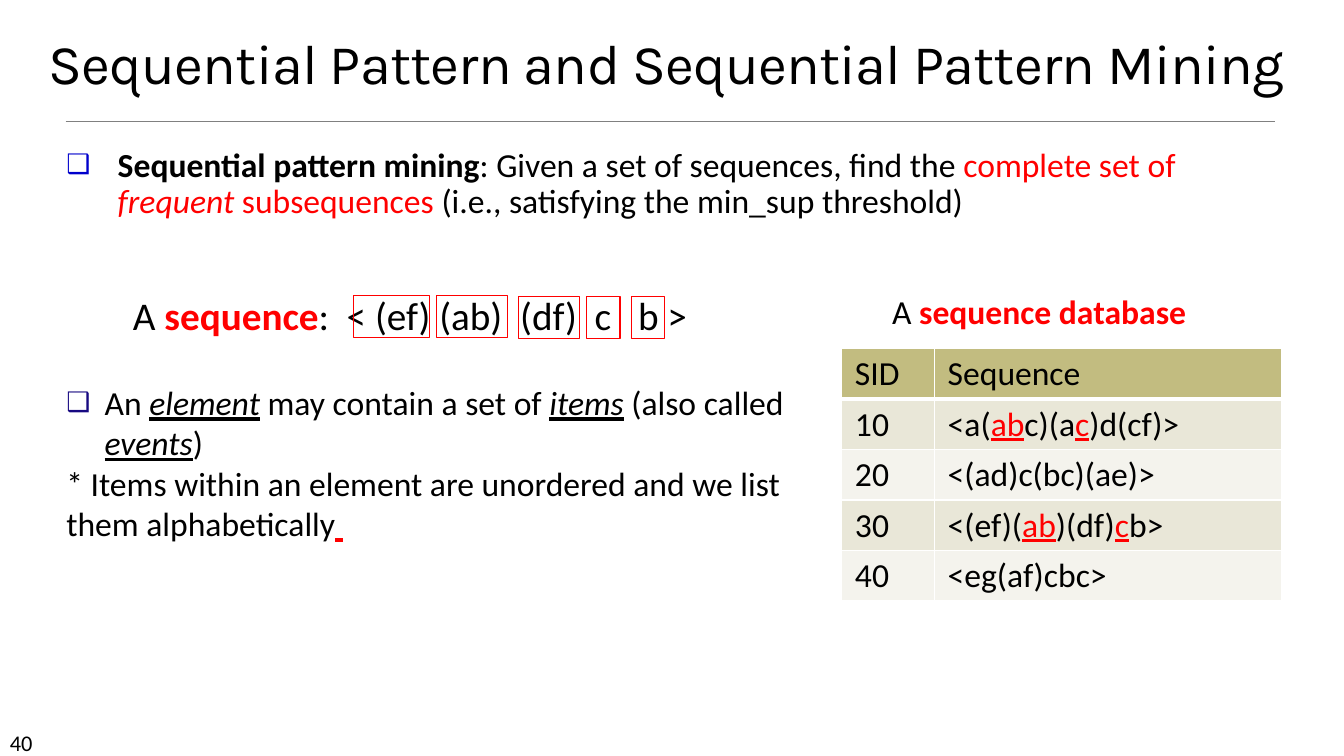
from lxml import etree
from pptx import Presentation
from pptx import util as u
from pptx.dml.color import RGBColor
from pptx.enum import shapes, text
from pptx.oxml import ns

BLACK = RGBColor(0x00, 0x00, 0x00)
RED = RGBColor(0xFF, 0x00, 0x00)
GREY = RGBColor(0x80, 0x80, 0x80)
WHITE = RGBColor(0xFF, 0xFF, 0xFF)
BLUE = RGBColor(0x00, 0x00, 0xCC)
NAVY = RGBColor(0x17, 0x09, 0x81)
HEADER = RGBColor(0xC2, 0xBC, 0x80)
BANDS = [RGBColor(0xE9, 0xE7, 0xD8), RGBColor(0xF4, 0xF3, 0xED)]
BODY_FONT = "Calibri"
TITLE_FONT = "Karla"

DATABASE = [
    ("SID", [("Sequence", "")]),
    ("10", [("<a(", ""), ("ab", "red underline"), ("c)(a", ""),
            ("c", "red underline"), (")d(cf)>", "")]),
    ("20", [("<(ad)c(bc)(ae)>", "")]),
    ("30", [("<(ef)(", ""), ("ab", "red underline"), (")(df)", ""),
            ("c", "red underline"), ("b>", "")]),
    ("40", [("<eg(af)cbc>", "")]),
]


def add_element(parent, tag, **attributes):
    return etree.SubElement(parent, ns.qn(tag), attributes)


def add_bullet(para, color, indent):
    properties = para._p.get_or_add_pPr()
    properties.set("marL", str(u.Inches(indent)))
    properties.set("indent", str(-u.Inches(indent)))
    add_element(add_element(properties, "a:buClr"), "a:srgbClr", val=str(color))
    add_element(properties, "a:buSzPct", val="80000")
    add_element(properties, "a:buFont", typeface="Wingdings 2")
    properties[-1].set("typeface", BODY_FONT)
    add_element(properties, "a:buChar", char="❑")


def add_tabs(para, stops):
    tabs = add_element(para._p.get_or_add_pPr(), "a:tabLst")
    for stop in stops:
        add_element(tabs, "a:tab", pos=str(u.Inches(stop)), algn="l")


def write(para, spans, size=24, name=BODY_FONT):
    para.font.size = u.Pt(size)
    para.font.name = name
    para.font.color.rgb = BLACK
    for words, style in spans:
        span = para.add_run()
        span.text = words
        if "red" in style:
            span.font.color.rgb = RED
        if "bold" in style:
            span.font.bold = True
        if "italic" in style:
            span.font.italic = True
        if "underline" in style:
            span.font.underline = True


def add_text_box(page, left, top, width, height):
    box = page.shapes.add_textbox(*map(u.Inches, (left, top, width, height)))
    box.text_frame.word_wrap = True
    return box.text_frame


def add_heading(page, left, top, width, height):
    title = page.shapes.title
    title.left, title.top, title.width, title.height = map(
        u.Inches, (left, top, width, height))
    frame = title.text_frame
    frame.word_wrap = True
    frame.auto_size = text.MSO_AUTO_SIZE.NONE
    frame.vertical_anchor = text.MSO_ANCHOR.BOTTOM
    para = frame.paragraphs[0]
    para.alignment = text.PP_ALIGN.CENTER
    para.line_spacing = 0.85
    write(para, [("Sequential Pattern and Sequential Pattern Mining ", "")], 40, TITLE_FONT)
    para.runs[0]._r.get_or_add_rPr().set("spc", "-50")


def add_rule(page, left, top, width):
    rule = page.shapes.add_connector(
        shapes.MSO_CONNECTOR.STRAIGHT,
        *map(u.Inches, (left, top, left + width, top)))
    rule.line.color.rgb = GREY
    rule.line.width = u.Pt(0.5)
    add_element(rule._element.spPr, "a:effectLst")


def add_definition(page, left, top, width, height):
    para = add_text_box(page, left, top, width, height).paragraphs[0]
    para.line_spacing = 0.9
    add_bullet(para, BLUE, 0.51)
    write(para, [
        ("Sequential pattern mining", "bold"),
        (": Given a set of sequences, find the ", ""),
        ("complete set of ", "red"), ("frequent ", "red italic"),
        ("subsequences ", "red"),
        ("(i.e., satisfying the min_sup threshold)", "")])


def add_sequence(page, left, top, width, height):
    para = add_text_box(page, left, top, width, height).paragraphs[0]
    add_tabs(para, [2.12, 3.84, 4.58, 5.01])
    write(para, [("A ", ""), ("sequence", "red bold"),
                 (":\t< (ef) (ab)\t(df)\tc\tb >", "")], 28)
    for offset, drop, breadth in [(2.29, 0.09, 0.75), (3.11, 0.09, 0.7), (3.92, 0.1, 0.61),
                                  (4.6, 0.1, 0.33), (5.04, 0.1, 0.33)]:
        element = page.shapes.add_shape(
            shapes.MSO_SHAPE.RECTANGLE,
            *map(u.Inches, (left + offset, top + drop, breadth, 0.42)))
        element.shadow.inherit = False
        element.fill.background()
        element.line.color.rgb = RED
        element.line.width = u.Pt(0.75)


def add_notes_on_elements(page, left, top, width, height):
    frame = add_text_box(page, left, top, width, height)
    first = frame.paragraphs[0]
    add_bullet(first, NAVY, 0.38)
    write(first, [
        ("An ", ""), ("element", "italic underline"),
        (" may contain a set of ", ""), ("items", "italic underline"),
        (" (also called ", ""), ("events", "italic underline"), (")", "")])
    write(frame.add_paragraph(), [
        ("* Items within an element are unordered and we list them alphabetically", ""),
        (" ", "red italic underline")])


def add_borders(cell, is_header):
    properties = cell._tc.get_or_add_tcPr()
    widths = {"L": 1, "R": 1, "T": 1, "B": 3 if is_header else 1}
    for side, width in widths.items():
        border = add_element(properties, f"a:ln{side}", w=str(u.Pt(width)))
        add_element(add_element(border, "a:solidFill"), "a:srgbClr", val=str(WHITE))


def add_database(page, left, top, width, height):
    caption = add_text_box(page, left + 0.4, top - 0.62, 3.23, 0.5)
    write(caption.paragraphs[0], [("A ", ""), ("sequence database", "red bold")])
    table = page.shapes.add_table(
        len(DATABASE), 2, *map(u.Inches, (left, top, width, height))).table
    table.first_row = False
    table.horz_banding = False
    table.columns[0].width = u.Inches(0.92)
    table.columns[1].width = u.Inches(width - 0.92)
    for index, (sid, sequence) in enumerate(DATABASE):
        for column, spans in enumerate([[(sid, "")], sequence]):
            cell = table.cell(index, column)
            add_borders(cell, index == 0)
            cell.fill.solid()
            cell.fill.fore_color.rgb = BANDS[(index - 1) % 2] if index else HEADER
            cell.margin_left = cell.margin_right = u.Inches(0.13)
            write(cell.text_frame.paragraphs[0], spans)


def add_page_number(page, left, top, width, height):
    frame = add_text_box(page, left, top, width, height)
    write(frame.paragraphs[0], [("40", "")], 16)


def main():
    deck = Presentation()
    deck.slide_width = u.Inches(13.33)
    deck.slide_height = u.Inches(7.5)
    page = deck.slides.add_slide(deck.slide_layouts[5])
    add_rule(page, 0.65, 1.2, 12)
    add_page_number(page, 0, 7.18, 1.17, 0.3)
    add_heading(page, -0.33, 0.37, 14, 0.63)
    add_definition(page, 0.56, 1.42, 12.33, 0.89)
    add_notes_on_elements(page, 0.56, 3.74, 8, 1.72)
    add_sequence(page, 1.22, 2.84, 5.81, 0.57)
    add_database(page, 8.35, 3.46, 4.36, 2.5)
    deck.save("out.pptx")


if __name__ == "__main__":
    main()
